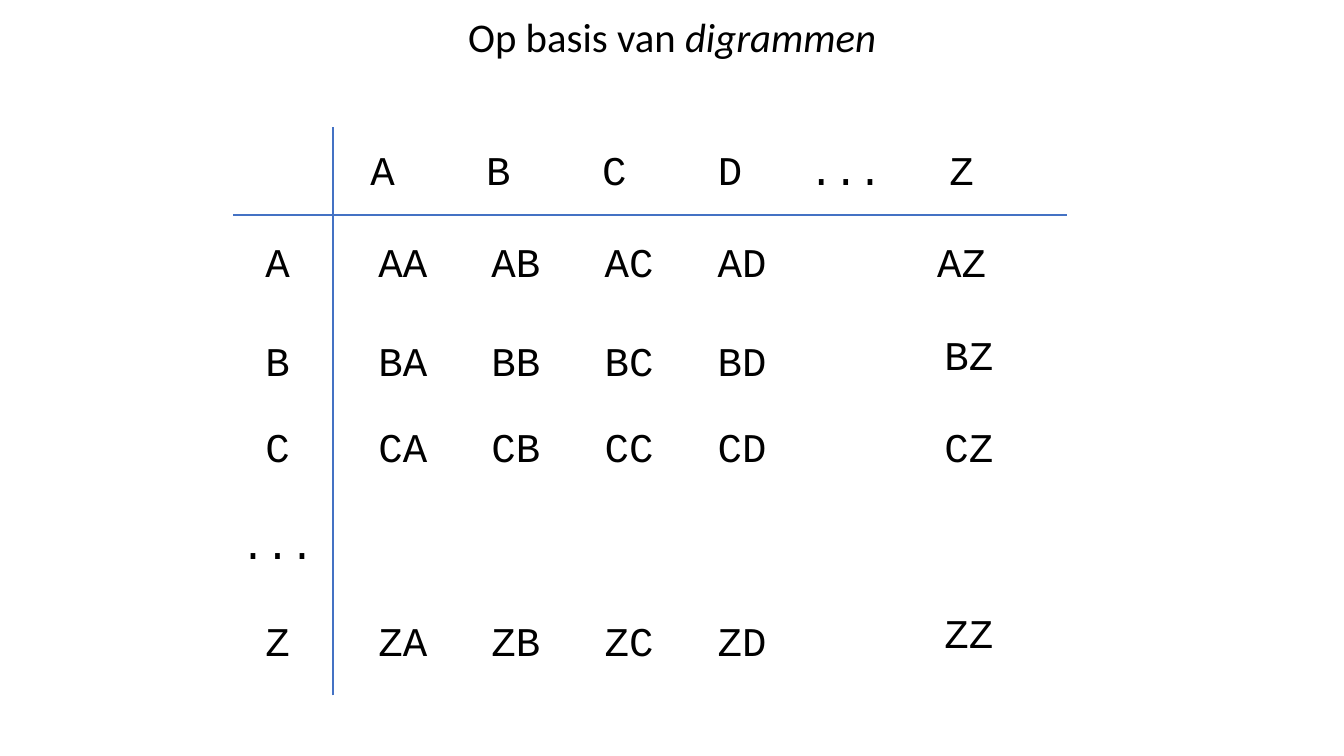
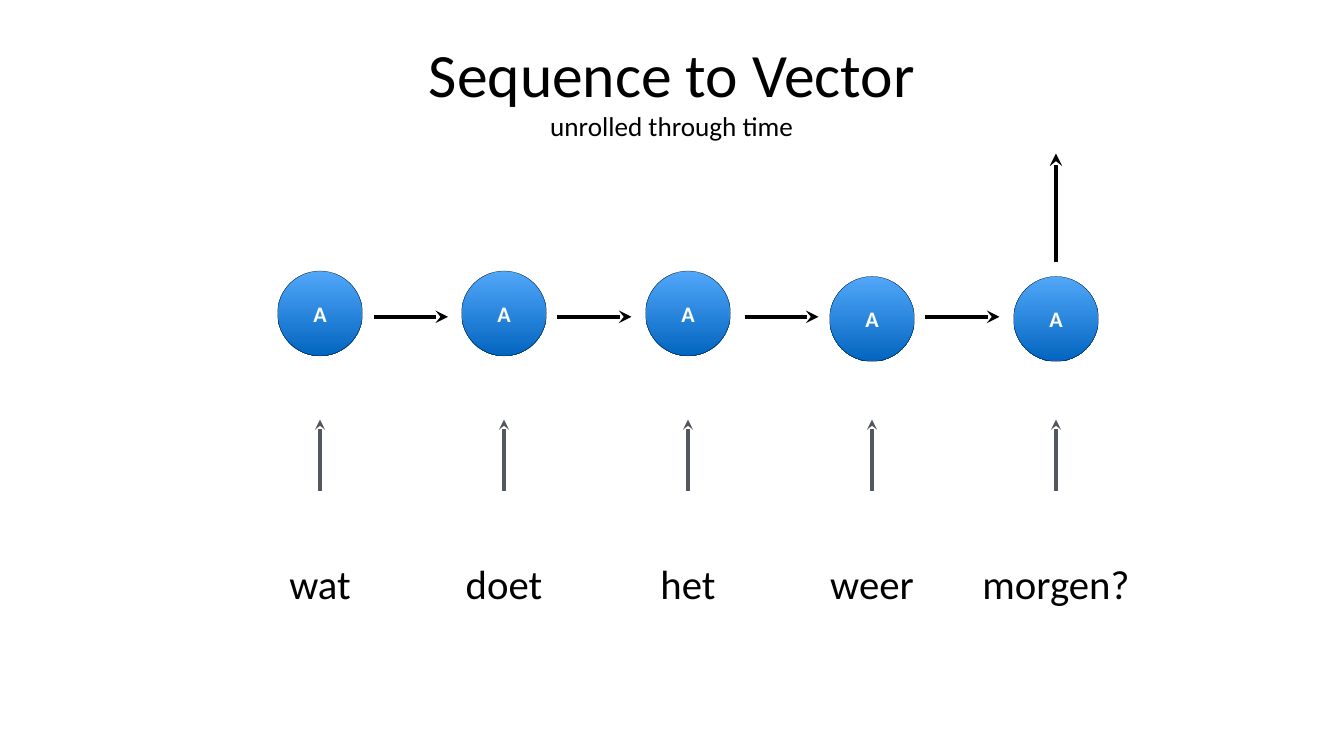
from dataclasses import dataclass

from lxml import etree
from pptx import Presentation
from pptx.dml.color import RGBColor
from pptx.enum.shapes import MSO_CONNECTOR, MSO_SHAPE
from pptx.enum.text import MSO_ANCHOR, MSO_AUTO_SIZE, PP_ALIGN
from pptx.oxml.ns import qn
from pptx.util import Inches, Pt

STRAIGHT = MSO_CONNECTOR.STRAIGHT
OVAL = MSO_SHAPE.OVAL
TOP, MIDDLE = MSO_ANCHOR.TOP, MSO_ANCHOR.MIDDLE
GROW, FIXED = MSO_AUTO_SIZE.SHAPE_TO_FIT_TEXT, MSO_AUTO_SIZE.NONE
CENTER = PP_ALIGN.CENTER
TITLE_ONLY = 5


@dataclass(frozen=True)
class Theme:
    sans: str = "Calibri"
    mono: str = "Courier New"
    black: str = "000000"
    white: str = "FFFFFF"
    rule: str = "4472C4"
    gray: str = "53585F"
    light: str = "51A7F9"
    dark: str = "0365C0"
    huge: float = 72.5
    large: float = 48
    small: float = 32
    label: float = 26


THEME = Theme()


def write(para, words, size=THEME.large, font=THEME.sans, color=THEME.black,
          bold=False, slant=False, align=CENTER):
    para.alignment = align
    run = para.add_run()
    run.text = words
    run.font.size = Pt(size)
    run.font.name = font
    run.font.color.rgb = RGBColor.from_string(color)
    run.font.bold = bold
    run.font.italic = slant


def set_frame(frame, inset=0.05, anchor=TOP, wrap=True, fit=FIXED):
    frame.margin_left = frame.margin_right = Inches(inset)
    frame.margin_top = frame.margin_bottom = Inches(inset)
    frame.vertical_anchor = anchor
    frame.word_wrap = wrap
    frame.auto_size = fit


def add_label(shapes, words, mid, top, width, height, **style):
    box = shapes.add_textbox(Inches(mid - width / 2), Inches(top),
                             Inches(width), Inches(height))
    set_frame(box.text_frame, wrap=False, fit=GROW)
    write(box.text_frame.paragraphs[0], words, **style)


def add_line(shapes, start, end, color, width, arrow=False):
    line = shapes.add_connector(STRAIGHT, *map(Inches, start + end))
    line.line.color.rgb = RGBColor.from_string(color)
    line.line.width = Pt(width)
    props = line._element.spPr
    if arrow:
        etree.SubElement(props.find(qn("a:ln")), qn("a:tailEnd"), type="stealth")
    etree.SubElement(props, qn("a:effectLst"))


def add_title(slide, box, lines):
    title = slide.shapes.title
    title.left, title.top, title.width, title.height = map(Inches, box)
    frame = title.text_frame
    set_frame(frame)
    for index, runs in enumerate(lines):
        para = frame.add_paragraph() if index else frame.paragraphs[0]
        para.line_spacing = 1
        para.space_before = Pt(0)
        for words, style in runs:
            write(para, words, **style)


def add_grid(slide, box):
    left, top, width, height = box
    shapes = slide.shapes
    heads = ["A", "B", "C", "D", "...", "Z"]
    rows = {"A": 1.75, "B": 3.37, "C": 4.78, "...": 6.36, "Z": 7.95}
    last = {"A": (11.92, 0), "B": (12.04, -0.1), "C": (12.04, 0),
            "Z": (12.04, -0.14)}
    pitch = 9.47 / (len(heads) - 1)

    def add_cell(words, mid, down):
        add_label(shapes, words, left + mid, top + down,
                  0.12 + 0.4 * len(words), 0.88, font=THEME.mono, align=None)

    for col, head in enumerate(heads):
        add_cell(head, 2.45 + pitch * col, 0.25)
    for row, down in rows.items():
        add_cell(row, 0.73, down)
        if row in last:
            for col, head in enumerate(heads[:4]):
                add_cell(row + head, 2.78 + 1.85 * col, down)
            mid, shift = last[row]
            add_cell(row + heads[-1], mid, down + shift)
    add_line(shapes, (left, top + 1.44), (left + width, top + 1.44), THEME.rule, 2)
    add_line(shapes, (left + 1.63, top + height), (left + 1.63, top), THEME.rule, 2)


def add_node(shapes, left, top, size):
    node = shapes.add_shape(OVAL, *map(Inches, (left, top, size, size)))
    node.shadow.inherit = False
    node.fill.gradient()
    node.fill.gradient_angle = 270
    for stop, color in zip(node.fill.gradient_stops, (THEME.light, THEME.dark)):
        stop.color.rgb = RGBColor.from_string(color)
    node.line.color.rgb = RGBColor.from_string(THEME.black)
    node.line.width = Pt(0.25)
    set_frame(node.text_frame, inset=0.06, anchor=MIDDLE)
    write(node.text_frame.paragraphs[0], "A", size=THEME.label,
          color=THEME.white, bold=True)


def add_chain(slide, box):
    left, top, width, height = box
    size = 1.39
    steps = [("wat", 1.12, 1.92, 1.58), ("doet", 1.37, 1.92, 1.57),
             ("het", 1.02, 1.92, 1.62), ("weer", 1.48, 2.01, 1.57),
             ("morgen?", 2.52, 2.01, None)]
    pitch = (width - size) / (len(steps) - 1)
    for index, (word, span, down, gap) in enumerate(steps):
        start = left + index * pitch
        mid = start + size / 2
        part = slide.shapes.add_group_shape().shapes
        add_node(part, start, top + down, size)
        add_line(part, (mid, top + 5.52), (mid, top + 4.35), THEME.gray, 4, True)
        add_label(part, word, mid, top + height - 0.77, span, 0.77)
        if gap:
            add_line(slide.shapes, (start + gap, top + 2.67),
                     (start + gap + 1.21, top + 2.67), THEME.black, 5, True)
    add_line(slide.shapes, (mid, top + 1.78), (mid, top), THEME.black, 5, True)


def main():
    deck = Presentation()
    deck.slide_width, deck.slide_height = Inches(1583 / 72), Inches(890 / 72)
    layout = deck.slide_layouts[TITLE_ONLY]

    slide = deck.slides.add_slide(layout)
    add_title(slide, (7.6, 0.14, 6.79, 0.77),
              [[("Op basis van ", {}), ("digrammen", {"slant": True})]])
    add_grid(slide, (3.82, 2.07, 13.64, 9.3))

    slide = deck.slides.add_slide(layout)
    add_title(slide, (3.88, 0.53, 14.22, 1.86),
              [[("Sequence to Vector", {"size": THEME.huge})],
               [("unrolled through time", {"size": THEME.small})]])
    add_chain(slide, (4.54, 2.51, 13.43, 7.34))

    deck.save("out.pptx")


if __name__ == "__main__":
    main()
